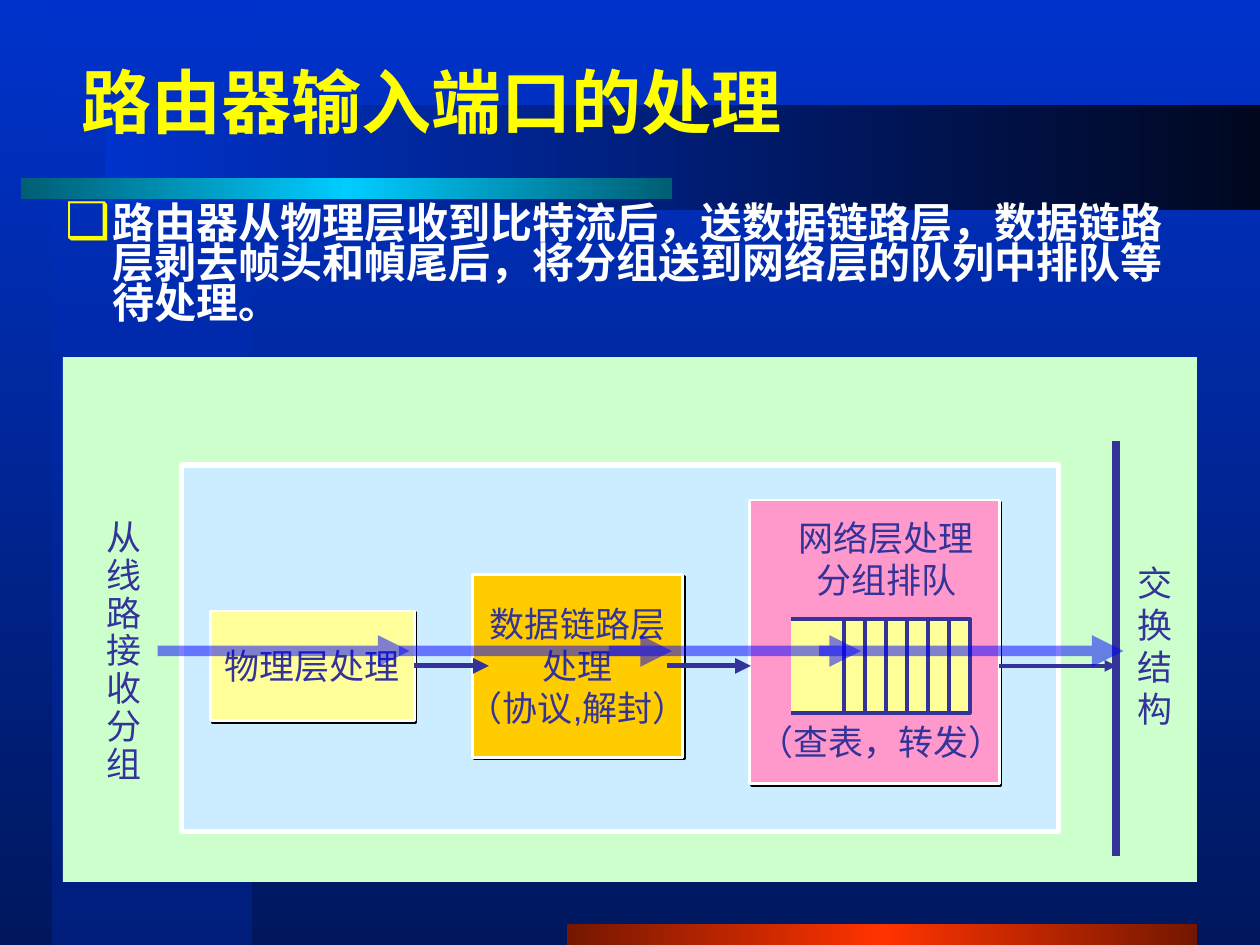
from lxml import etree
from pptx import Presentation
from pptx.dml.color import RGBColor
from pptx.enum.shapes import MSO_CONNECTOR, MSO_SHAPE
from pptx.enum.text import MSO_ANCHOR, MSO_AUTO_SIZE, PP_ALIGN
from pptx.oxml import parse_xml
from pptx.oxml.ns import nsdecls, qn
from pptx.util import Pt

RECT = MSO_SHAPE.RECTANGLE
STRAIGHT = MSO_CONNECTOR.STRAIGHT
LEFT, CENTER = PP_ALIGN.LEFT, PP_ALIGN.CENTER
MIDDLE, TOP = MSO_ANCHOR.MIDDLE, MSO_ANCHOR.TOP
NO_FIT, GROW = MSO_AUTO_SIZE.NONE, MSO_AUTO_SIZE.SHAPE_TO_FIT_TEXT
RIGHT_SIDE = 3

YELLOW = RGBColor(0xFF, 0xFF, 0x00)
WHITE = RGBColor(0xFF, 0xFF, 0xFF)
INDIGO = RGBColor(0x33, 0x33, 0x99)
BLUE = RGBColor(0x00, 0x00, 0xFF)
MINT = RGBColor(0xCC, 0xFF, 0xCC)
SKY = RGBColor(0xCC, 0xEC, 0xFF)
CREAM = RGBColor(0xFF, 0xFF, 0x99)
ORANGE = RGBColor(0xFF, 0xCC, 0x00)
PINK = RGBColor(0xFF, 0x99, 0xCC)
ROYAL = RGBColor(0x00, 0x33, 0xCC)
NAVY = RGBColor(0x00, 0x17, 0x5E)
DEEP = RGBColor(0x00, 0x1F, 0x7D)
NIGHT = RGBColor(0x00, 0x07, 0x1F)
RUST, RED = RGBColor(0x75, 0x17, 0x00), RGBColor(0xFF, 0x33, 0x00)
TEAL, CYAN = RGBColor(0x00, 0x5E, 0x75), RGBColor(0x00, 0xCC, 0xFF)

TITLE = "路由器输入端口的处理"
BODY = ("路由器从物理层收到比特流后，送数据链路层，数据链路层剥去帧头和幀尾后，"
        "将分组送到网络层的队列中排队等待处理。")

# box, evenly spaced gradient colours, clockwise angle, opacity of first colour
BANDS = [
    ((30, 0, 114, 540), (ROYAL, DEEP), 90, 50),
    ((324, 528, 360, 12), (RUST, RED, RUST), 180, 100),
    ((60, 60, 660, 60), (NIGHT, ROYAL), 180, 100),
    ((12, 102, 372, 12), (TEAL, CYAN, TEAL), 180, 100),
]
# box, fill, lines of text
LAYERS = [
    ((120.2, 349.2, 116.6, 62.6), CREAM, ["物理层处理"]),
    ((270, 328.3, 120.2, 104.4), ORANGE, ["数据链路层", "处理", "（协议,解封）"]),
    ((428.4, 285.8, 142.6, 162), PINK, []),
]
# box, lines of text, alignment, line spacing
LABELS = [
    ((449.3, 291.6, 114.5, 55.4), ["网络层处理", "分组排队"], CENTER, 1.0),
    ((643, 317.5, 34.6, 103.7), list("交换结构"), LEFT, 1.0),
    ((54, 293.8, 34.6, 158.4), list("从线路接收分组"), LEFT, 0.9),
    ((426.2, 408.2, 154.8, 31.7), ["（查表，转发）"], LEFT, 1.0),
]
FABRIC_X, FABRIC_TOP, FABRIC_BOTTOM = 637.9, 252, 489
HOP_Y = 380.5
HOPS = [(236.8, 279.4, 3), (380.9, 429.1, 3), (571, FABRIC_X, 2.25)]
QUEUE_LEFT, QUEUE_TOP, QUEUE_RIGHT, QUEUE_BOTTOM = 452.2, 353.5, 554.2, 407.5
SLOT_WIDTH, SLOT_COUNT = 12, 6
FLOW_Y = 372
FLOWS = [(90, 234), (228, 384), (348, 492), (468, 642)]


def paint_gradient(fill, element, colours, angle, opacity=100):
    fill.gradient()
    fill.gradient_angle = 360 - angle
    stops = element.find(".//" + qn("a:gsLst"))
    for old in list(stops):
        stops.remove(old)
    for i, colour in enumerate(colours):
        stop = etree.SubElement(stops, qn("a:gs"), pos=str(100000 * i // (len(colours) - 1)))
        clr = etree.SubElement(stop, qn("a:srgbClr"), val=str(colour))
        if i == 0 and opacity < 100:
            etree.SubElement(clr, qn("a:alpha"), val=str(opacity * 1000))


def add_rect(box, fill=None, border=None):
    rect = slide.shapes.add_shape(RECT, *map(Pt, box))
    rect.shadow.inherit = False
    if fill is not None:
        rect.fill.solid()
        rect.fill.fore_color.rgb = fill
    if border:
        rect.line.color.rgb = WHITE
        rect.line.width = Pt(border)
    else:
        rect.line.fill.background()
    return rect


def add_hard_shadow(shape):
    shape.element.spPr.find(qn("a:effectLst")).append(parse_xml(
        f'<a:outerShdw {nsdecls("a")} dist="{Pt(1.4)}" dir="2700000" algn="ctr" '
        'rotWithShape="0"><a:srgbClr val="000000"/></a:outerShdw>'))


def add_line(start, end, width, colour=INDIGO, arrow=False, opacity=100):
    line = slide.shapes.add_connector(STRAIGHT, *map(Pt, (*start, *end)))
    line.line.color.rgb = colour
    line.line.width = Pt(width)
    ln = line.line._get_or_add_ln()
    if opacity < 100:
        etree.SubElement(ln.find(".//" + qn("a:srgbClr")), qn("a:alpha"), val=str(opacity * 1000))
    if arrow:
        etree.SubElement(ln, qn("a:tailEnd"), type="triangle")
    etree.SubElement(line.element.spPr, qn("a:effectLst"))
    return line


def set_font(paragraph, name, size, colour, bold=False):
    font = paragraph.font
    font.name, font.size, font.bold = name, Pt(size), bold
    font.color.rgb = colour


def write_lines(frame, lines, align, anchor, spacing=1.0):
    frame.word_wrap = False
    frame.vertical_anchor = anchor
    frame.text = "\n".join(lines)
    for paragraph in frame.paragraphs:
        paragraph.alignment = align
        paragraph.line_spacing = spacing
        set_font(paragraph, "Arial", 20, INDIGO)


def fill_placeholder(holder, box, text, size, colour, anchor):
    """Place the holder above the shapes drawn so far and return its paragraph."""
    slide.shapes.element.append(holder.element)
    holder.left, holder.top, holder.width, holder.height = map(Pt, box)
    frame = holder.text_frame
    frame.text = text
    frame.word_wrap = True
    frame.auto_size = NO_FIT
    frame.vertical_anchor = anchor
    paragraph = frame.paragraphs[0]
    paragraph.alignment = LEFT
    paragraph.space_before = Pt(0)
    return paragraph


prs = Presentation()
prs.slide_width, prs.slide_height = Pt(720), Pt(540)
slide = prs.slides.add_slide(prs.slide_layouts[1])
paint_gradient(slide.background.fill, slide.element, (ROYAL, NAVY), 90)

for box, colours, angle, opacity in BANDS:
    band = add_rect(box)
    paint_gradient(band.fill, band.element, colours, angle, opacity)

heading = fill_placeholder(slide.shapes.title, (39.6, 30, 680.4, 55.4), TITLE, 40, YELLOW, MIDDLE)
set_font(heading, "Times New Roman", 40, YELLOW, bold=True)

summary = fill_placeholder(slide.placeholders[1], (30, 114, 660, 84), BODY, 24, WHITE, TOP)
summary.line_spacing = 0.8
bullet_props = summary._p.get_or_add_pPr()
bullet_props.set("marL", str(Pt(27)))
bullet_props.set("indent", str(-Pt(27)))
bullet_colour = etree.SubElement(bullet_props, qn("a:buClr"))
etree.SubElement(bullet_colour, qn("a:srgbClr"), val=str(YELLOW))
etree.SubElement(bullet_props, qn("a:buSzPct"), val="120000")
etree.SubElement(bullet_props, qn("a:buChar"), char="❑")
set_font(summary, "Times New Roman", 24, WHITE, bold=True)

add_rect((36, 204, 648, 300), MINT)
add_rect((103.7, 265.7, 501.1, 209.5), SKY, border=3)
layers = []
for box, fill, lines in LAYERS:
    layer = add_rect(box, fill, border=1.5)
    add_hard_shadow(layer)
    if lines:
        write_lines(layer.text_frame, lines, CENTER, MIDDLE)
    layers.append(layer)

hops = [add_line((x1, HOP_Y), (x2, HOP_Y), width, arrow=True) for x1, x2, width in HOPS]
hops[0].begin_connect(layers[0], RIGHT_SIDE)
add_line((FABRIC_X, FABRIC_TOP), (FABRIC_X, FABRIC_BOTTOM), 4.5)

outline = slide.shapes.build_freeform(Pt(QUEUE_LEFT), Pt(QUEUE_TOP))
outline.add_line_segments([(Pt(QUEUE_RIGHT), Pt(QUEUE_TOP)), (Pt(QUEUE_RIGHT), Pt(QUEUE_BOTTOM)),
                           (Pt(QUEUE_LEFT), Pt(QUEUE_BOTTOM))], close=False)
queue = outline.convert_to_shape()
queue.shadow.inherit = False
queue.fill.solid()
queue.fill.fore_color.rgb = CREAM
queue.line.color.rgb = INDIGO
queue.line.width = Pt(2.25)
for slot in range(1, SLOT_COUNT + 1):
    x = QUEUE_RIGHT - slot * SLOT_WIDTH
    add_line((x, QUEUE_TOP), (x, QUEUE_BOTTOM), 2.25)

for box, lines, align, spacing in LABELS:
    label = slide.shapes.add_textbox(*map(Pt, box))
    write_lines(label.text_frame, lines, align, TOP, spacing)
    label.text_frame.auto_size = GROW

for x1, x2 in FLOWS:
    add_line((x1, FLOW_Y), (x2, FLOW_Y), 6, BLUE, arrow=True, opacity=50)

prs.save("out.pptx")
